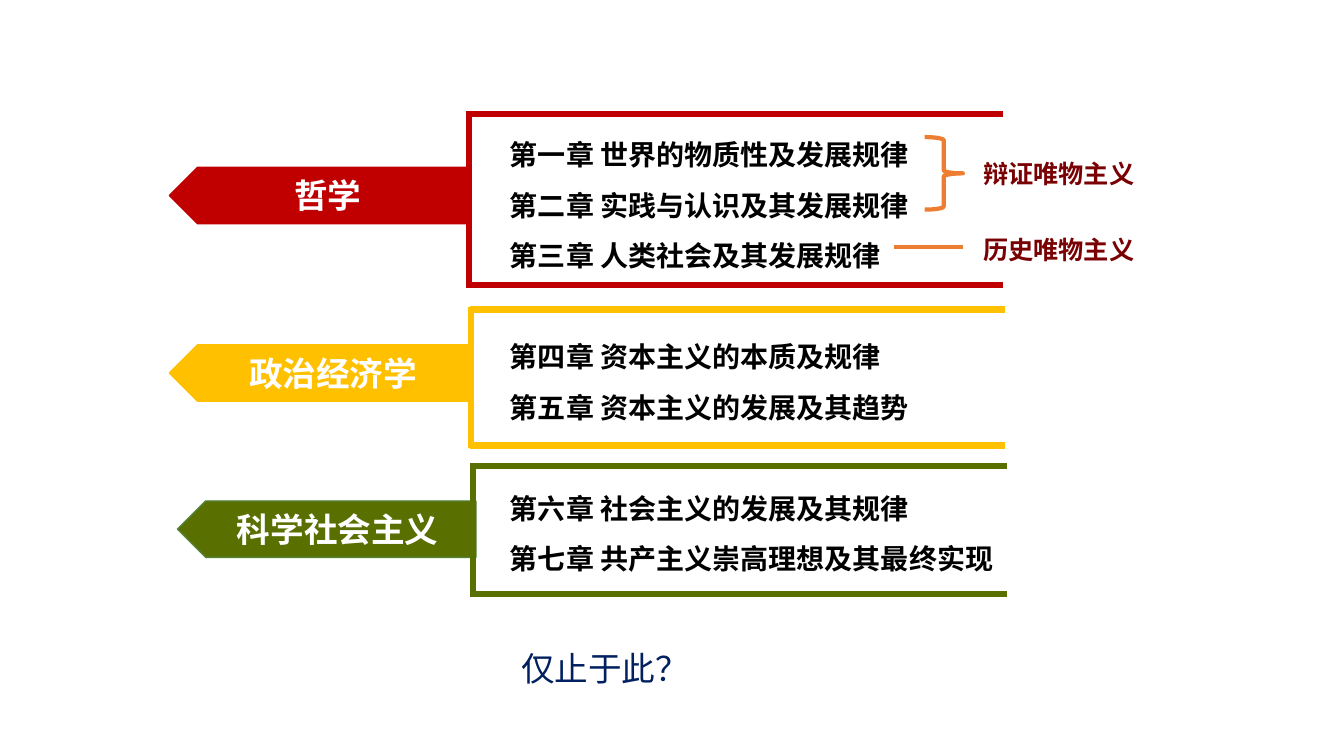
from dataclasses import dataclass

from lxml.etree import SubElement
from pptx import Presentation
from pptx.dml.color import RGBColor
from pptx.enum.shapes import MSO_CONNECTOR, MSO_SHAPE
from pptx.enum.text import MSO_ANCHOR, PP_ALIGN
from pptx.oxml.ns import qn
from pptx.util import Inches, Pt


@dataclass(frozen=True)
class Theme:
    red: str = "C00000"
    yellow: str = "FFC000"
    green: str = "596F00"
    green_edge: str = "548235"
    orange: str = "ED7D31"
    maroon: str = "790003"
    navy: str = "002060"
    black: str = "000000"
    white: str = "FFFFFF"
    chinese: str = "Noto Sans CJK SC"
    latin: str = "Arial"
    label_size: int = 24
    chapter_size: int = 20
    note_size: int = 18
    frame_weight: float = 4.5
    brace_weight: float = 3
    link_weight: float = 2.25
    edge_weight: float = 1


THEME = Theme()
CELL = Inches(0.1)
CHAPTER_LEFT = 49.6
CHAPTER_WIDTH = 51.7
CHAPTER_TOP = 11.5
CHAPTER_PITCH = 5.01
LABEL_HEIGHT = 5.6
FRAME_WIDTH = 53.1
SPINE_INSET = 0.1
SPINE_OVERHANG = 0.28
NOTE_LEFT = 97.5
NOTE_WIDTH = 19.7
LINK_LEFT = 88.7
LINK_RIGHT = 95.5
LINK_ROW = 24.5


@dataclass(frozen=True)
class Section:
    label: str
    chapters: tuple
    first_chapter_row: int
    color: str
    edge: str
    arrow_left: float
    arrow_top: float
    arrow_width: float
    label_left: float
    label_width: float
    frame_left: float
    frame_top: float
    frame_bottom: float


SECTIONS = (
    Section(label="哲学",
            chapters=("第一章 世界的物质性及发展规律", "第二章 实践与认识及其发展规律",
                      "第三章 人类社会及其发展规律"),
            first_chapter_row=0, color=THEME.red, edge=THEME.red,
            arrow_left=16.8, arrow_top=16.6, arrow_width=29.9,
            label_left=29.2, label_width=20.6,
            frame_left=46.4, frame_top=11.3, frame_bottom=28.3),
    Section(label="政治经济学",
            chapters=("第四章 资本主义的本质及规律", "第五章 资本主义的发展及其趋势"),
            first_chapter_row=4, color=THEME.yellow, edge=THEME.yellow,
            arrow_left=16.8, arrow_top=34.2, arrow_width=29.9,
            label_left=24.7, label_width=26.1,
            frame_left=46.6, frame_top=30.7, frame_bottom=44.2),
    Section(label="科学社会主义",
            chapters=("第六章 社会主义的发展及其规律", "第七章 共产主义崇高理想及其最终实现"),
            first_chapter_row=7, color=THEME.green, edge=THEME.green_edge,
            arrow_left=17.6, arrow_top=49.7, arrow_width=29.6,
            label_left=23.5, label_width=27.2,
            frame_left=46.8, frame_top=46.2, frame_bottom=58.9),
)


def grid(*cells):
    return [round(cell * CELL) for cell in cells]


def set_line(line, color, weight):
    line.color.rgb = RGBColor.from_string(color)
    line.width = Pt(weight)


def add_line(page, start, end, color, weight):
    connector = page.shapes.add_connector(MSO_CONNECTOR.STRAIGHT, *grid(*start, *end))
    set_line(connector.line, color, weight)
    SubElement(connector.element.spPr, qn("a:effectLst"))


def add_preset(page, kind, left, top, width, height, color, weight, fill=None, rotation=0):
    shape = page.shapes.add_shape(kind, *grid(left, top, width, height))
    shape.shadow.inherit = False
    shape.rotation = rotation
    set_line(shape.line, color, weight)
    if fill:
        shape.fill.solid()
        shape.fill.fore_color.rgb = RGBColor.from_string(fill)
    else:
        shape.fill.background()


def add_text(page, lines, left, top, width, height, size, color, font=THEME.chinese,
             bold=True, spacing=1.0, align=PP_ALIGN.LEFT, anchor=MSO_ANCHOR.MIDDLE,
             side_inset=0, end_inset=0):
    box = page.shapes.add_textbox(*grid(left, top, width, height))
    frame = box.text_frame
    frame.word_wrap = True
    frame.vertical_anchor = anchor
    frame.margin_left = frame.margin_right = Inches(side_inset)
    frame.margin_top = frame.margin_bottom = Inches(end_inset)
    for index, line in enumerate(lines):
        para = frame.add_paragraph() if index else frame.paragraphs[0]
        para.alignment = align
        para.line_spacing = spacing
        span = para.add_run()
        span.text = line
        span.font.size = Pt(size)
        span.font.bold = bold
        span.font.name = font
        span.font.color.rgb = RGBColor.from_string(color)
        SubElement(span.font._element, qn("a:ea")).set("typeface", THEME.chinese)


def add_chapters(page, section):
    add_text(page, section.chapters, left=CHAPTER_LEFT,
             top=CHAPTER_TOP + section.first_chapter_row * CHAPTER_PITCH,
             width=CHAPTER_WIDTH, height=len(section.chapters) * CHAPTER_PITCH + 1,
             size=THEME.chapter_size, color=THEME.black, spacing=1.5,
             anchor=MSO_ANCHOR.TOP, side_inset=0.1, end_inset=0.05)


def add_label(page, section):
    add_preset(page, MSO_SHAPE.PENTAGON, left=section.arrow_left, top=section.arrow_top,
               width=section.arrow_width, height=LABEL_HEIGHT, color=section.edge,
               weight=THEME.edge_weight, fill=section.color, rotation=180)
    add_text(page, [section.label], left=section.label_left, top=section.arrow_top,
             width=section.label_width, height=LABEL_HEIGHT,
             size=THEME.label_size, color=THEME.white)


def add_frame(page, section):
    right = section.frame_left + FRAME_WIDTH
    for row in (section.frame_top, section.frame_bottom):
        add_line(page, (section.frame_left, row), (right, row),
                 section.color, THEME.frame_weight)
    spine = section.frame_left + SPINE_INSET
    add_line(page, (spine, section.frame_bottom + SPINE_OVERHANG),
             (spine, section.frame_top - SPINE_OVERHANG),
             section.color, THEME.frame_weight)


def add_notes(page):
    add_preset(page, MSO_SHAPE.RIGHT_BRACE, left=91.7, top=13.6, width=3.8, height=7.2,
               color=THEME.orange, weight=THEME.brace_weight)
    add_line(page, (LINK_LEFT, LINK_ROW), (LINK_RIGHT, LINK_ROW),
             THEME.orange, THEME.link_weight)
    for top, note in ((14.4, "辩证唯物主义"), (21.9, "历史唯物主义")):
        add_text(page, [note], left=NOTE_LEFT, top=top, width=NOTE_WIDTH,
                 height=LABEL_HEIGHT, size=THEME.note_size, color=THEME.maroon)


def main():
    deck = Presentation()
    deck.slide_width, deck.slide_height = Inches(13.33), Inches(7.5)
    page = deck.slides.add_slide(deck.slide_layouts[6])
    for section in SECTIONS:
        add_chapters(page, section)
        add_label(page, section)
        add_frame(page, section)
    add_notes(page)
    add_text(page, ["仅止于此？"], left=50.7, top=63, width=19.3, height=5.4,
             size=THEME.label_size, color=THEME.navy, font=THEME.latin, bold=False,
             spacing=1.2, align=PP_ALIGN.JUSTIFY, anchor=MSO_ANCHOR.TOP,
             side_inset=0.1, end_inset=0.05)
    deck.save("out.pptx")


if __name__ == "__main__":
    main()
